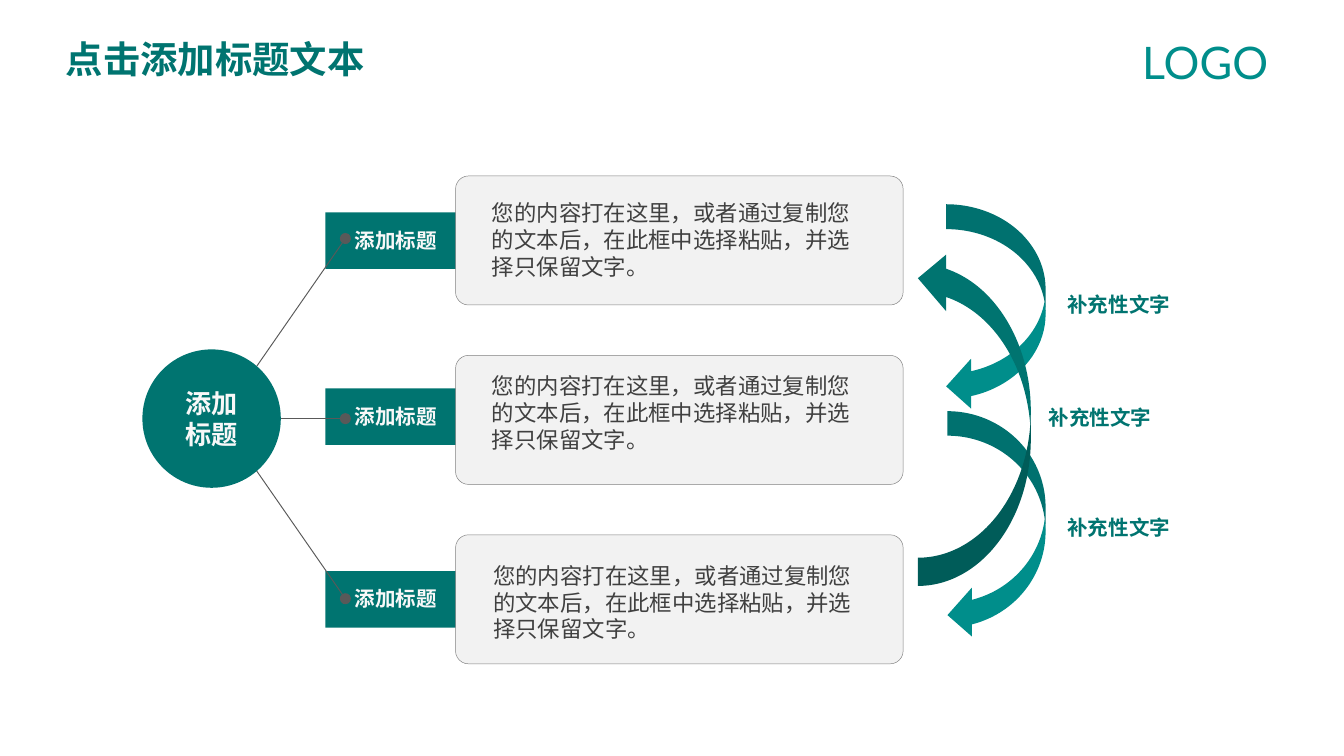
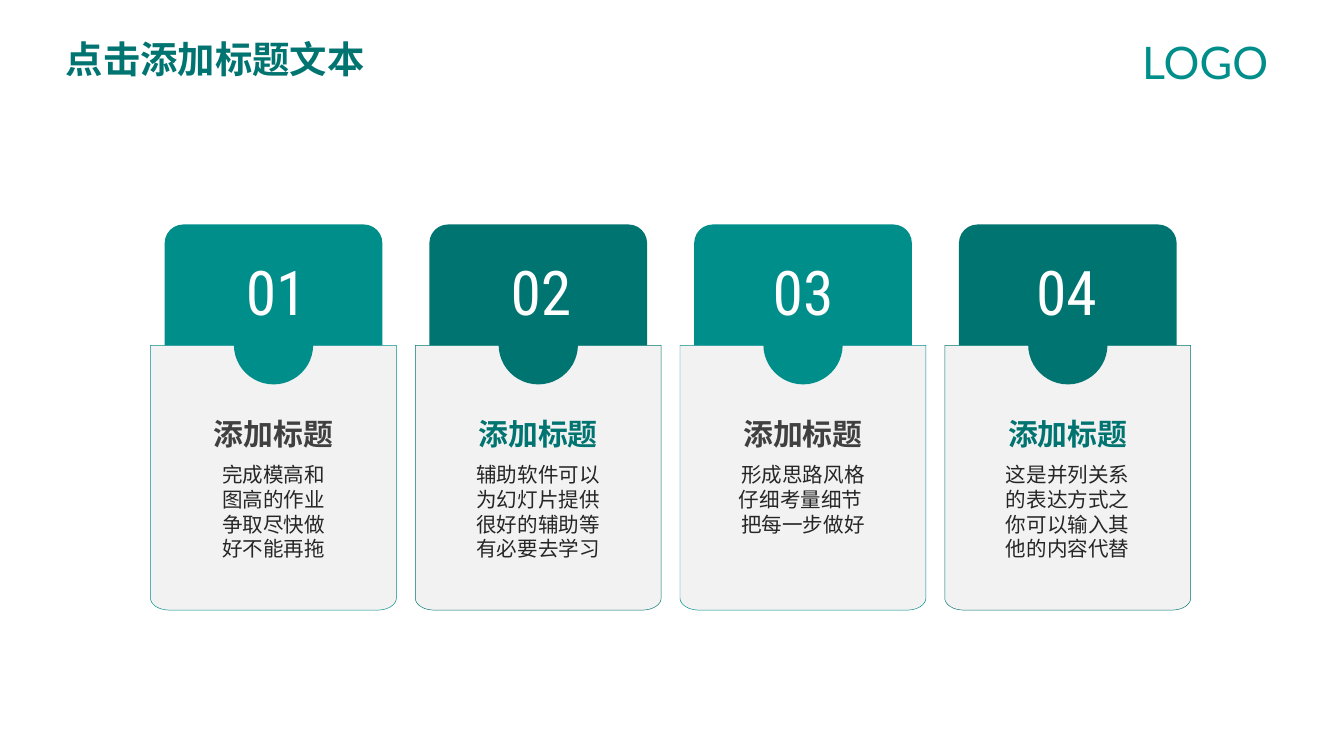
from math import cos, pi, sin

from pptx import Presentation
from pptx.dml.color import RGBColor
from pptx.enum.shapes import MSO_CONNECTOR, MSO_SHAPE
from pptx.enum.text import MSO_ANCHOR, MSO_AUTO_SIZE, PP_ALIGN
from pptx.oxml.ns import qn
from pptx.util import Inches, Pt
from lxml import etree

RECT_TAG, ROUND = MSO_SHAPE.PENTAGON, MSO_SHAPE.ROUNDED_RECTANGLE
OVAL, CURVED_LEFT = MSO_SHAPE.OVAL, MSO_SHAPE.CURVED_LEFT_ARROW
STRAIGHT = MSO_CONNECTOR.STRAIGHT
TOP, MIDDLE = MSO_ANCHOR.TOP, MSO_ANCHOR.MIDDLE
LEFT, CENTER = PP_ALIGN.LEFT, PP_ALIGN.CENTER
GROW, FIXED = MSO_AUTO_SIZE.SHAPE_TO_FIT_TEXT, MSO_AUTO_SIZE.NONE

PAGE_WIDTH = 10
PAGE_HEIGHT = PAGE_WIDTH * 9 / 16

DEEP_TEAL = RGBColor(0x00, 0x74, 0x70)
TEAL = RGBColor(0x00, 0x8E, 0x8B)
PANEL = RGBColor(0xF2, 0xF2, 0xF2)
WHITE = RGBColor(0xFF, 0xFF, 0xFF)
OFF_WHITE = RGBColor(0xF8, 0xF8, 0xF8)
GREY = RGBColor(0x80, 0x80, 0x80)
LINE_GREY = RGBColor(0x59, 0x59, 0x59)
TEXT_GREY = RGBColor(0x40, 0x40, 0x40)
BODY_DARK = RGBColor(0x26, 0x26, 0x26)

CJK, LATO, ARIAL, CONDENSED = "Noto Sans CJK SC", "Lato", "Arial", "Roboto Condensed"
SNUG = (0.07, 0.03)
CARD_INSET = (0.07, 0.04)


def inches(*values):
    return [Inches(value) for value in values]


def write(shape, text, size, color, font=CJK, bold=False, align=LEFT,
          anchor=TOP, inset=SNUG, wrap=True, fit=FIXED):
    """Fill a shape with text, one paragraph a line."""
    frame = shape.text_frame
    frame.word_wrap, frame.auto_size, frame.vertical_anchor = wrap, fit, anchor
    frame.margin_left = frame.margin_right = Inches(inset[0])
    frame.margin_top = frame.margin_bottom = Inches(inset[1])
    for number, line in enumerate(text.split("\n")):
        para = frame.add_paragraph() if number else frame.paragraphs[0]
        para.alignment = align
        span = para.add_run()
        span.text = line
        span.font.size, span.font.bold = Pt(size), bold
        span.font.color.rgb, span.font.name = color, font
        east_asian = etree.SubElement(span.font._element, qn("a:ea"))
        east_asian.set("typeface", font)


def add_text(shapes, box, text, **style):
    write(shapes.add_textbox(*inches(*box)), text, **style)


def paint(shape, fill, line=None):
    shape.shadow.inherit = False
    shape.fill.solid()
    shape.fill.fore_color.rgb = fill
    if line is None:
        shape.line.fill.background()
    else:
        shape.line.color.rgb = line
        shape.line.width = Pt(0.25)
    return shape


def add_block(shapes, kind, box, fill, line=None, corner=None):
    shape = paint(shapes.add_shape(kind, *inches(*box)), fill, line)
    if corner is not None:
        shape.adjustments[0] = corner
    return shape


def add_header(page):
    add_text(page.shapes, (0.39, 0.22, 2.45, 0.44), "点击添加标题文本", size=20,
             color=DEEP_TEAL, bold=True, inset=(0.1, 0.05), wrap=False, fit=GROW)
    add_text(page.shapes, (8.4, 0.21, 1.25, 0.5), "LOGO", size=24, color=TEAL,
             font=LATO, inset=(0.1, 0.05), wrap=False, fit=GROW)


# Slide 1: hub, three branches and the cycle arrows
BRANCH_TEXT = "您的内容打在这里，或者通过复制您的文本后，在此框中选择粘贴，并选择只保留文字。"
CARD_TOP, CARD_PITCH = 1.31, 1.335
TAG_TOPS = (1.58, 2.89, 4.25)
COPY_PLACES = ((3.59, 1.52), (3.59, 2.81), (3.6, 4.22))


def add_tag(shapes, left, top):
    add_block(shapes, RECT_TAG, (left, top, 1.38, 0.42), DEEP_TEAL)
    add_text(shapes, (left + 0.15, top + 0.07, 1.15, 0.27), "添加标题",
             size=11, color=OFF_WHITE, bold=True, anchor=MIDDLE)


def add_spoke(shapes, start, end):
    spoke = shapes.add_connector(STRAIGHT, *inches(*start, *end))
    spoke.line.color.rgb, spoke.line.width = LINE_GREY, Pt(0.5)
    outline = spoke.line._get_or_add_ln()
    for tip in ("a:headEnd", "a:tailEnd"):
        etree.SubElement(outline, qn(tip)).set("type", "oval")
    etree.SubElement(spoke._element.spPr, qn("a:effectLst"))


def add_hub(shapes, left, top, size):
    start = left + 0.58, top + size / 2
    for step in (-1, 1, 0):
        add_spoke(shapes, start, (left + 1.51, start[1] + 1.34 * step))
    hub = add_block(shapes, OVAL, (left, top, size, size), DEEP_TEAL)
    write(hub, "添加\n标题", size=14, color=OFF_WHITE, bold=True,
          align=CENTER, anchor=MIDDLE)


def add_cycle(shapes):
    for box in ((7.04, 1.52, 0.74, 1.54), (7.05, 3.06, 0.73, 1.7)):
        add_block(shapes, CURVED_LEFT, box, TEAL)
    # The return arrow points up: half a turn plus a mirror
    back = add_block(shapes, CURVED_LEFT, (6.83, 1.86, 0.84, 2.5), DEEP_TEAL)
    back.rotation = 180
    back._element.spPr.find(qn("a:xfrm")).set("flipH", "1")
    for left, top in ((7.73, 2.98), (7.87, 3.8), (7.87, 2.14)):
        add_text(shapes, (left, top, 0.91, 0.25), "补充性文字", size=11,
                 color=DEEP_TEAL, font=ARIAL, bold=True, align=CENTER, fit=GROW)


def build_branches(page):
    shapes = page.shapes
    for top in TAG_TOPS:
        add_tag(shapes, 2.42, top)
    add_hub(shapes, 1.06, 2.6, 1.03)
    add_cycle(shapes)
    for row, (copy_left, copy_top) in enumerate(COPY_PLACES):
        card = (3.39, CARD_TOP + row * CARD_PITCH, 3.33, 0.96)
        add_block(shapes, ROUND, card, PANEL, GREY, corner=0.1)
        add_text(shapes, (copy_left, copy_top, 2.91, 0.52), BRANCH_TEXT,
                 size=12, color=TEXT_GREY, anchor=MIDDLE)
    add_header(page)


# Slide 2: four numbered pockets
# Accent, heading colour, number offset and width, body width, body text
POCKETS = (
    (TEAL, TEXT_GREY, 0.52, 0.83, 1.12, "完成模高和\n图高的作业\n争取尽快做\n好不能再拖"),
    (DEEP_TEAL, DEEP_TEAL, 0.49, 0.89, 1.31,
     "辅助软件可以\n为幻灯片提供\n很好的辅助等\n有必要去学习"),
    (TEAL, TEXT_GREY, 0.43, 0.97, 1.38, "形成思路风格\n仔细考量细节 \n把每一步做好"),
    (DEEP_TEAL, DEEP_TEAL, 0.47, 0.87, 1.33,
     "这是并列关系\n的表达方式之\n你可以输入其\n他的内容代替"),
)
POCKET_WIDTH, POCKET_HEIGHT, POCKET_PITCH = 1.83, 1.97, 1.97


def add_pocket_front(shapes, left, top, accent):
    """Square top corners, softly rounded bottom corners."""
    radius_x, radius_y, steps = 0.14, 0.09, 8
    right, bottom = left + POCKET_WIDTH, top + POCKET_HEIGHT
    points = [(right, top)]
    for center_x, first in ((right - radius_x, 0), (left + radius_x, pi / 2)):
        for step in range(steps + 1):
            angle = first + pi / 2 * step / steps
            points.append((center_x + radius_x * cos(angle),
                           bottom - radius_y + radius_y * sin(angle)))
    builder = shapes.build_freeform(*inches(left, top))
    builder.add_line_segments([inches(*point) for point in points], close=True)
    paint(builder.convert_to_shape(), PANEL, accent)


def add_pocket(page, left, top, number, accent, heading,
               number_offset, number_width, body_width, body):
    shapes = page.shapes.add_group_shape().shapes
    middle = left + POCKET_WIDTH / 2
    add_block(shapes, ROUND, (middle - 0.81, top, 1.62, 1.49), accent, corner=0.093)
    add_pocket_front(shapes, left, top + 0.9, accent)
    add_block(shapes, OVAL, (middle - 0.295, top + 0.6, 0.59, 0.59), accent)
    centered = dict(align=CENTER, inset=CARD_INSET, fit=GROW)
    add_text(shapes, (left + number_offset, top + 0.18, number_width, 0.64),
             f"{number:02}", size=33, color=WHITE, font=CONDENSED, **centered)
    add_text(shapes, (middle - 0.55, top + 1.38, 1.1, 0.34), "添加标题",
             size=16, color=heading, bold=True, **centered)
    body_height = 0.1 + 0.18 * len(body.split("\n"))
    add_text(shapes, (middle - body_width / 2, top + 1.73, body_width, body_height),
             body, size=11, color=BODY_DARK, **centered)


def build_pockets(page):
    for index, pocket in enumerate(POCKETS):
        add_pocket(page, 1.12 + index * POCKET_PITCH, 1.67, index + 1, *pocket)
    add_header(page)


def main():
    deck = Presentation()
    deck.slide_width, deck.slide_height = inches(PAGE_WIDTH, PAGE_HEIGHT)
    for build in (build_branches, build_pockets):
        build(deck.slides.add_slide(deck.slide_layouts[6]))
    deck.save("out.pptx")


if __name__ == "__main__":
    main()
